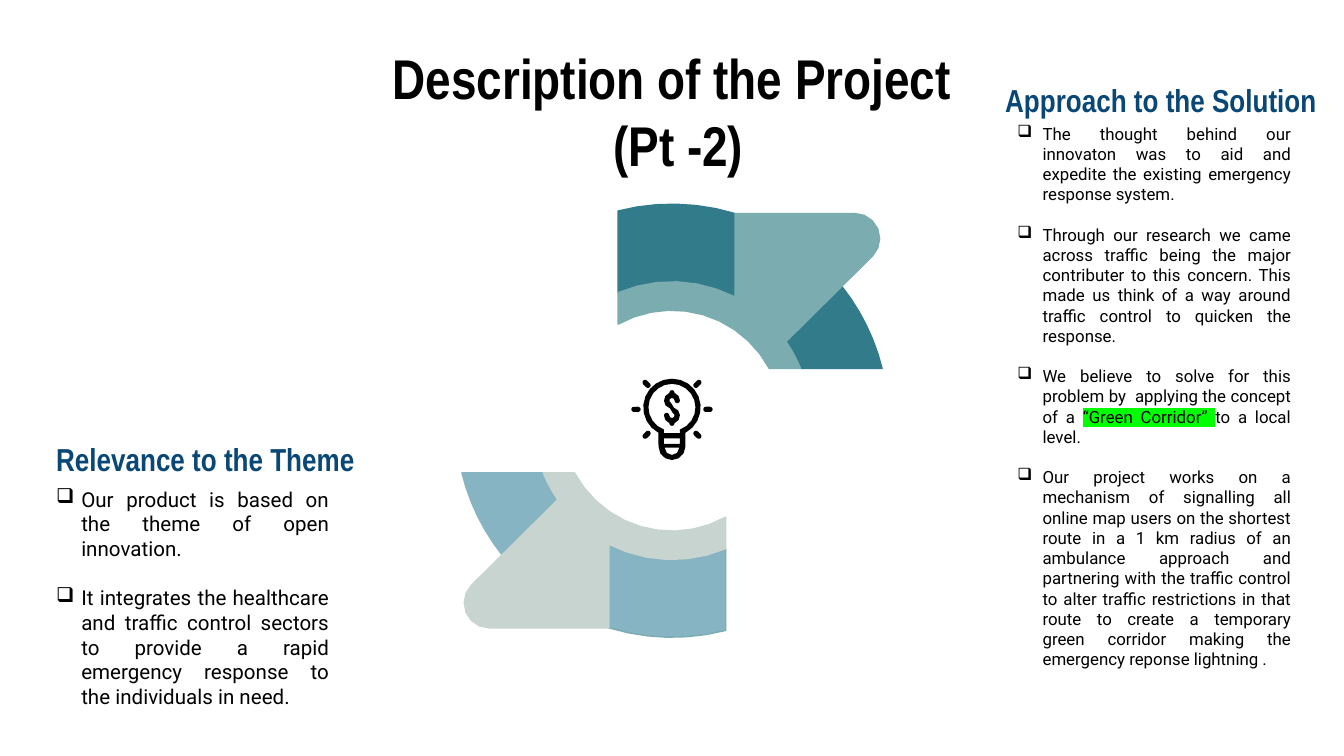
"""Build the project description slide with two ribbon arrows around a light bulb."""
from math import acos, asin, cos, degrees, radians, sin

from lxml import etree
from pptx import Presentation
from pptx.dml.color import RGBColor
from pptx.enum.shapes import MSO_SHAPE
from pptx.enum.text import PP_ALIGN
from pptx.oxml.ns import qn
from pptx.util import Pt

LEFT, CENTER, RIGHT, JUSTIFY = PP_ALIGN.LEFT, PP_ALIGN.CENTER, PP_ALIGN.RIGHT, PP_ALIGN.JUSTIFY
ROUNDED = MSO_SHAPE.ROUNDED_RECTANGLE
color = RGBColor.from_string

deck = Presentation()
deck.slide_width, deck.slide_height = Pt(720), Pt(405)
page = deck.slides.add_slide(deck.slide_layouts[6])


def arc(x, y, radius, start, stop, steps=6):
    """Return points along a circle, with angles in degrees clockwise from the right."""
    angles = [radians(start + (stop - start) * step / steps) for step in range(steps + 1)]
    return [(x + radius * cos(angle), y + radius * sin(angle)) for angle in angles]


def draw(contours, x, y, fill, line=None):
    """Draw closed contours given relative to the point x, y."""
    placed = [[(Pt(x + dx), Pt(y + dy)) for dx, dy in contour] for contour in contours]
    builder = page.shapes.build_freeform(*placed[0][0])
    builder.add_line_segments(placed[0][1:])
    for contour in placed[1:]:
        builder.move_to(*contour[0])
        builder.add_line_segments(contour[1:])
    shape = builder.convert_to_shape()
    shape.shadow.inherit = False
    shape.fill.solid()
    shape.fill.fore_color.rgb = color(fill)
    if line:
        shape.line.color.rgb = color(line)
        shape.line.width = Pt(0.75)
    else:
        shape.line.fill.background()


headings = [
    ("Description of the Project\v (Pt -2)", 182, 16, 356, 49, 30, "000000", CENTER),
    ("Approach to the Solution", 499.5, 36, 213, 23, 17, "084776", RIGHT),
    ("Relevance to the Theme", 23, 228.5, 184, 23, 17, "084776", LEFT),
]
for text, left, top, width, height, size, ink, align in headings:
    box = page.shapes.add_textbox(Pt(left), Pt(top), Pt(width), Pt(height))
    frame = box.text_frame
    frame.word_wrap = True
    frame.margin_left = frame.margin_right = frame.margin_top = frame.margin_bottom = Pt(7.2)
    frame.text = text
    para = frame.paragraphs[0]
    para.alignment = align
    for span in para.runs:
        span.font.size, span.font.name, span.font.bold = Pt(size), "Arial Narrow", True
        span.font.color.rgb = color(ink)

approach = [
    "The thought behind our innovaton was to aid and expedite the existing emergency "
    "response system.",
    "Through our research we came across traffic being the major contributer to this "
    "concern. This made us think of a way around traffic control to quicken the response.",
    "We believe to solve for this problem by  applying the concept of a "
    "|“Green Corridor” |to a local level.",
    "Our project works on a mechanism of signalling all online map users on the shortest "
    "route in a 1 km radius of an ambulance approach and partnering with the traffic "
    "control to alter traffic restrictions in that route to create a temporary green "
    "corridor making the emergency reponse lightning .",
]
relevance = [
    "Our product is based on the theme of open innovation.",
    "It integrates the healthcare and traffic control sectors to provide a rapid "
    "emergency response to the individuals in need.",
]
for items, left, top, size, gap in [(approach, 538, 59, 9, 10.8), (relevance, 23, 253.5, 11, 13.2)]:
    box = page.shapes.add_textbox(Pt(left), Pt(top), Pt(160.5), Pt(55))
    frame = box.text_frame
    frame.word_wrap = True
    frame.margin_left = frame.margin_right = frame.margin_top = frame.margin_bottom = Pt(7.2)
    for index, text in enumerate(items):
        para = frame.add_paragraph() if index else frame.paragraphs[0]
        para.alignment = JUSTIFY
        if index:
            para.space_before = Pt(gap)
        properties = para._p.get_or_add_pPr()
        properties.set("marL", str(Pt(13.5)))
        properties.set("indent", str(-Pt(13.5)))
        bullet_color = etree.SubElement(properties, qn("a:buClr"))
        etree.SubElement(bullet_color, qn("a:srgbClr"), val="000000")
        etree.SubElement(properties, qn("a:buChar"), char="❑")
        for part, piece in enumerate(text.split("|")):
            span = para.add_run()
            span.text = piece
            span.font.size, span.font.name = Pt(size), "Roboto"
            span.font.color.rgb = color("000000")
            if part == 1:
                highlight = etree.Element(qn("a:highlight"))
                etree.SubElement(highlight, qn("a:srgbClr"), val="00FF00")
                span._r.rPr.find(qn("a:solidFill")).addnext(highlight)

outer, middle, inner = 116, 74.4, 59.2
west = {radius: -degrees(acos(-28.8 / radius)) for radius in (outer, middle, inner)}
east = {radius: -degrees(acos(33.8 / radius)) for radius in (outer, middle)}
base = {radius: -degrees(asin(28 / radius)) for radius in (outer, middle, inner)}
notch, rim = -34.7, -38.5

wedge = arc(0, 0, middle, notch, base[middle], 3) + arc(0, 0, outer, base[outer], rim)
band = arc(0, 0, outer, west[outer], east[outer]) + arc(0, 0, middle, east[middle], west[middle])
ribbon = (
    [(33.8, -111)]
    + arc(0, 0, middle, east[middle], west[middle])
    + arc(0, 0, inner, west[inner], base[inner], 10)
    + arc(0, 0, middle, base[middle], notch, 3)
    + arc(97.9, -97.6, 13.4, 45, -90)
)
arrows = [
    (1, [(wedge, "327B8A", "327B8A"), (band, "327B8A", "327B8A"), (ribbon, "7BACB0", "7BACB0")]),
    (-1, [(band, "86B4C2", "7BACB0"), (wedge, "86B4C2", "86B4C2"), (ribbon, "C7D4CF", "C7D4CF")]),
]
for turn, parts in arrows:
    for outline, fill, line in parts:
        draw([[(turn * x, turn * y) for x, y in outline]], 360, 225.4, fill, line)

bulb = [
    arc(0, 0, 15.4, 118, 422, 18) + arc(0, 21, 7.2, 0, 180),
    arc(0, 0, 12.6, 110, 430, 18) + [(4.3, 13.8), (-4.3, 13.8)],
    [(-4.3, 16.6), (4.3, 16.6), (4.3, 19.5), (-4.3, 19.5)],
    arc(0, 21.6, 3.9, 0, 180, 4),
]
draw(bulb, 360, 218.3, "000000")

half_dollar = (
    arc(0, -8.2, 1.4, -90, -180, 2)
    + arc(0, -4, 4.3, -110, -255, 4)
    + arc(0, 4, 1.4, -70, 180, 5)
    + arc(-2.85, 4, 1.45, 0, -180, 4)
    + arc(0, 4, 4.3, 180, 110, 2)
    + arc(0, 8.2, 1.4, 180, 90, 2)
)
draw([half_dollar + [(-x, -y) for x, y in half_dollar]], 360, 218.6, "000000")

for angle in (0, 45, 135, 180, 225, 315):
    x, y = 360 + 19.3 * cos(radians(angle)), 219.3 + 19.3 * sin(radians(angle))
    ray = page.shapes.add_shape(ROUNDED, Pt(x - 2.5), Pt(y - 1.4), Pt(5), Pt(2.8))
    ray.adjustments[0] = 0.5
    ray.rotation = angle
    ray.shadow.inherit = False
    ray.fill.solid()
    ray.fill.fore_color.rgb = color("000000")
    ray.line.fill.background()

deck.save("out.pptx")
